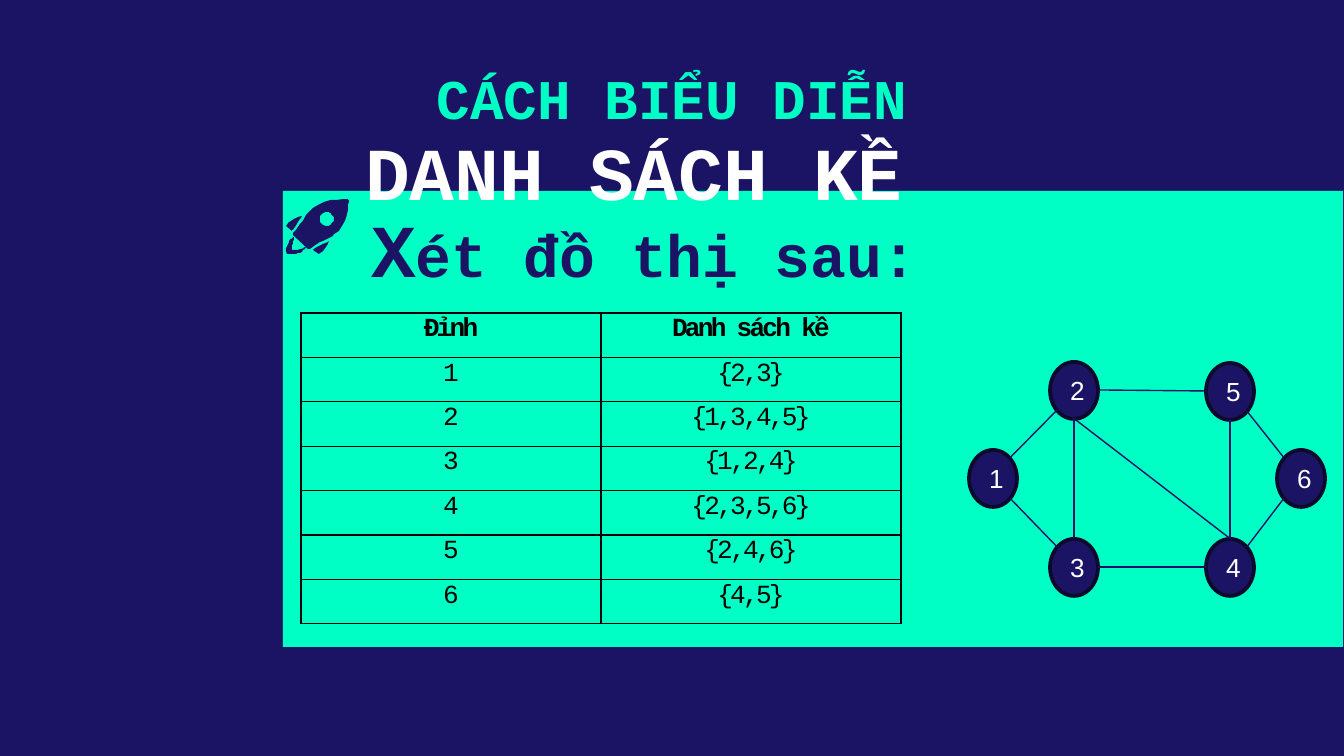
from dataclasses import dataclass
from typing import NamedTuple

from lxml.etree import SubElement
from pptx import Presentation
from pptx.dml.color import RGBColor
from pptx.enum.shapes import MSO_CONNECTOR, MSO_SHAPE
from pptx.enum.text import MSO_ANCHOR, PP_ALIGN
from pptx.oxml.ns import qn
from pptx.util import Emu, Pt

PX = 914400 / 134.4


@dataclass(frozen=True)
class Theme:
    navy: str = "1B1464"
    mint: str = "00FFC5"
    white: str = "FFFFFF"
    black: str = "000000"
    edge: str = "191264"
    ring: str = "0C092C"
    mono: str = "Courier New"
    sans: str = "Arial"
    title: int = 30
    heading: int = 40
    lead: int = 32
    body: int = 14


class Run(NamedTuple):
    text: str
    size: int
    color: str
    font: str
    bold: bool = False


class Box(NamedTuple):
    left: int
    top: int
    width: int
    height: int


class Node(NamedTuple):
    x: int
    y: int


class Edge(NamedTuple):
    start: int
    start_side: str
    end: int
    end_side: str


T = Theme()
NODE_W, NODE_H = 48, 57
DIAGONAL = 0.71
SIDES = {
    "top": (0, -1), "bottom": (0, 1), "left": (-1, 0), "right": (1, 0),
    "top left": (-DIAGONAL, -DIAGONAL), "top right": (DIAGONAL, -DIAGONAL),
    "bottom left": (-DIAGONAL, DIAGONAL), "bottom right": (DIAGONAL, DIAGONAL),
}
NODES = {1: Node(993, 478), 2: Node(1074, 390), 3: Node(1074, 567),
         4: Node(1230, 567), 5: Node(1230, 391), 6: Node(1301, 478)}
EDGES = [
    Edge(1, "bottom right", 3, "top left"), Edge(2, "bottom", 3, "top"),
    Edge(2, "bottom", 4, "top"), Edge(5, "bottom", 4, "top"),
    Edge(3, "right", 4, "left"), Edge(2, "right", 5, "left"),
    Edge(1, "top right", 2, "bottom left"),
    Edge(4, "top right", 6, "bottom left"),
    Edge(5, "bottom right", 6, "top left"),
]
ROWS = [("Đỉnh", "Danh sách kề"), ("1", "{2,3}"), ("2", "{1,3,4,5}"),
        ("3", "{1,2,4}"), ("4", "{2,3,5,6}"), ("5", "{2,4,6}"), ("6", "{4,5}")]

# Rocket parts: each contour is a start point, then lines (2) or cubic curves (6)
ROCKET = [
    [[(302, 216), (294, 216, 286, 226, 286, 226), (292, 231),
      (292, 230, 292, 230, 293, 230), (297, 223, 300, 219, 302, 216)]],
    [[(329, 241), (327, 242, 321, 245, 314, 249), (313, 250), (319, 254),
      (319, 254, 329, 247, 329, 241)]],
    [[(294, 237), (293, 238, 292, 239, 290, 239), (289, 242, 289, 243, 288, 245),
      (286, 247, 286, 250, 286, 251), (287, 254), (296, 254),
      (300, 253, 304, 251, 306, 247), (305, 247), (302, 249),
      (300, 249, 297, 250, 294, 250), (292, 250),
      (292, 247, 292, 245, 293, 243), (293, 242, 293, 241, 294, 239)]],
    [[(347, 199), (340, 199, 322, 200, 313, 208), (308, 212, 306, 215, 304, 219),
      (302, 222, 299, 226, 293, 233), (293, 235), (308, 249), (310, 249),
      (318, 243, 324, 241, 327, 239), (332, 237, 333, 235, 339, 231),
      (347, 223, 348, 207, 349, 202), (349, 200, 348, 199, 347, 199)],
     [(327, 212), (329, 212, 331, 213, 332, 215), (335, 216, 335, 222, 332, 223),
      (331, 225, 329, 226, 327, 226), (325, 226, 323, 225, 321, 223),
      (319, 222, 319, 216, 321, 215), (323, 213, 325, 212, 327, 212)]],
]


def px(n: float) -> Emu:
    return Emu(round(n * PX))


def rgb(color: str) -> RGBColor:
    return RGBColor.from_string(color)


def set_all(target, values: dict) -> None:
    for name, value in values.items():
        setattr(target, name, value)


def write(p, runs: list[Run], **para) -> None:
    set_all(p, para)
    for run in runs:
        r = p.add_run()
        r.text = run.text
        set_all(r.font, {"size": Pt(run.size), "name": run.font, "bold": run.bold})
        r.font.color.rgb = rgb(run.color)


def paint(sp, fill: str) -> None:
    sp.shadow.inherit = False
    sp.fill.solid()
    sp.fill.fore_color.rgb = rgb(fill)
    sp.line.fill.background()


def text_box(s, box: Box, runs: list[Run], anchor, inset: int, **para) -> None:
    tf = s.shapes.add_textbox(*map(px, box)).text_frame
    set_all(tf, {"word_wrap": True, "vertical_anchor": anchor,
                 "margin_top": px(inset), "margin_bottom": px(inset)})
    write(tf.paragraphs[0], runs, **para)


def outline(contour: list[tuple], steps: int = 6) -> list[tuple]:
    points = [contour[0]]
    for seg in contour[1:]:
        if len(seg) == 2:
            points.append(seg)
            continue
        (x0, y0), (x1, y1, x2, y2, x3, y3) = points[-1], seg
        for i in range(1, steps + 1):
            t = i / steps
            a, b, c, d = (1 - t) ** 3, 3 * t * (1 - t) ** 2, 3 * t * t * (1 - t), t ** 3
            points.append((a * x0 + b * x1 + c * x2 + d * x3,
                           a * y0 + b * y1 + c * y2 + d * y3))
    return points


def rocket_part(s, contours: list[list[tuple]]) -> None:
    first, *holes = map(outline, contours)
    fb = s.shapes.build_freeform(*first[0], scale=PX)
    fb.add_line_segments(first[1:], close=True)
    for hole in holes:
        fb.move_to(*hole[0])
        fb.add_line_segments(hole[1:], close=True)
    paint(fb.convert_to_shape(), T.navy)


def graph_node(s, label: int, node: Node) -> None:
    box = Box(node.x - NODE_W // 2, node.y - NODE_H // 2, NODE_W, NODE_H)
    sp = s.shapes.add_shape(MSO_SHAPE.OVAL, *map(px, box))
    paint(sp, T.navy)
    sp.line.color.rgb = rgb(T.ring)
    sp.line.width = Pt(2)
    sp.text_frame.vertical_anchor = MSO_ANCHOR.MIDDLE
    write(sp.text_frame.paragraphs[0], [Run(str(label), T.body, T.white, T.sans)],
          alignment=PP_ALIGN.CENTER)


def site(label: int, side: str) -> tuple[Emu, Emu]:
    node, (dx, dy) = NODES[label], SIDES[side]
    return px(node.x + dx * NODE_W / 2), px(node.y + dy * NODE_H / 2)


def graph_edge(s, edge: Edge) -> None:
    line = s.shapes.add_connector(MSO_CONNECTOR.STRAIGHT, *site(edge.start, edge.start_side),
                                  *site(edge.end, edge.end_side))
    line.line.color.rgb = rgb(T.edge)
    line.line.width = Pt(0.75)
    SubElement(line._element.spPr, qn("a:effectLst"))


def table_cell(cell, text: str, bold: bool) -> None:
    set_all(cell, {"margin_left": px(9), "margin_right": px(9),
                   "margin_top": 0, "margin_bottom": 0})
    p = cell.text_frame.paragraphs[0]
    write(p, [Run(text, T.body, T.black, T.mono, bold)], alignment=PP_ALIGN.CENTER,
          line_spacing=1.07, space_after=Pt(8))
    p.runs[0].font._element.set("spc", "-150")
    tc_pr = cell._tc.get_or_add_tcPr()
    for side in ("lnL", "lnR", "lnT", "lnB"):
        ln = SubElement(tc_pr, qn(f"a:{side}"), w=str(Pt(0.75)))
        SubElement(SubElement(ln, qn("a:solidFill")), qn("a:srgbClr"), val=T.black)
    cell.fill.background()


def adjacency_table(s, box: Box) -> None:
    table = s.shapes.add_table(len(ROWS), 2, *map(px, box)).table
    set_all(table, {"first_row": False, "horz_banding": False})
    for i, row in enumerate(ROWS):
        for j, text in enumerate(row):
            table_cell(table.cell(i, j), text, bold=i == 0)


def main() -> None:
    prs = Presentation()
    set_all(prs, {"slide_width": px(1344), "slide_height": px(756)})
    s = prs.slides.add_slide(prs.slide_layouts[6])
    s.background.fill.solid()
    s.background.fill.fore_color.rgb = rgb(T.navy)

    # Panel and headings
    panel = s.shapes.add_shape(MSO_SHAPE.RECTANGLE, *map(px, Box(283, 191, 1060, 456)))
    paint(panel, T.mint)
    text_box(s, Box(188, 51, 968, 98), [Run("CÁCH BIỂU DIỄN", T.title, T.mint, T.mono, True)],
             MSO_ANCHOR.TOP, 13, alignment=PP_ALIGN.CENTER)
    text_box(s, Box(352, 109, 724, 106), [Run("DANH SÁCH KỀ", T.heading, T.white, T.mono, True)],
             MSO_ANCHOR.BOTTOM, 0)
    for part in ROCKET:
        rocket_part(s, part)
    text_box(s, Box(358, 206, 872, 87),
             [Run("X", T.heading, T.navy, T.mono, True),
              Run("ét đồ thị sau:", T.lead, T.navy, T.mono, True)],
             MSO_ANCHOR.BOTTOM, 0, line_spacing=1.07, space_after=Pt(8))

    # Graph
    for label, node in NODES.items():
        graph_node(s, label, node)
    for edge in EDGES:
        graph_edge(s, edge)

    # Adjacency lists
    adjacency_table(s, Box(301, 313, 600, 311))
    prs.save("out.pptx")


if __name__ == "__main__":
    main()
